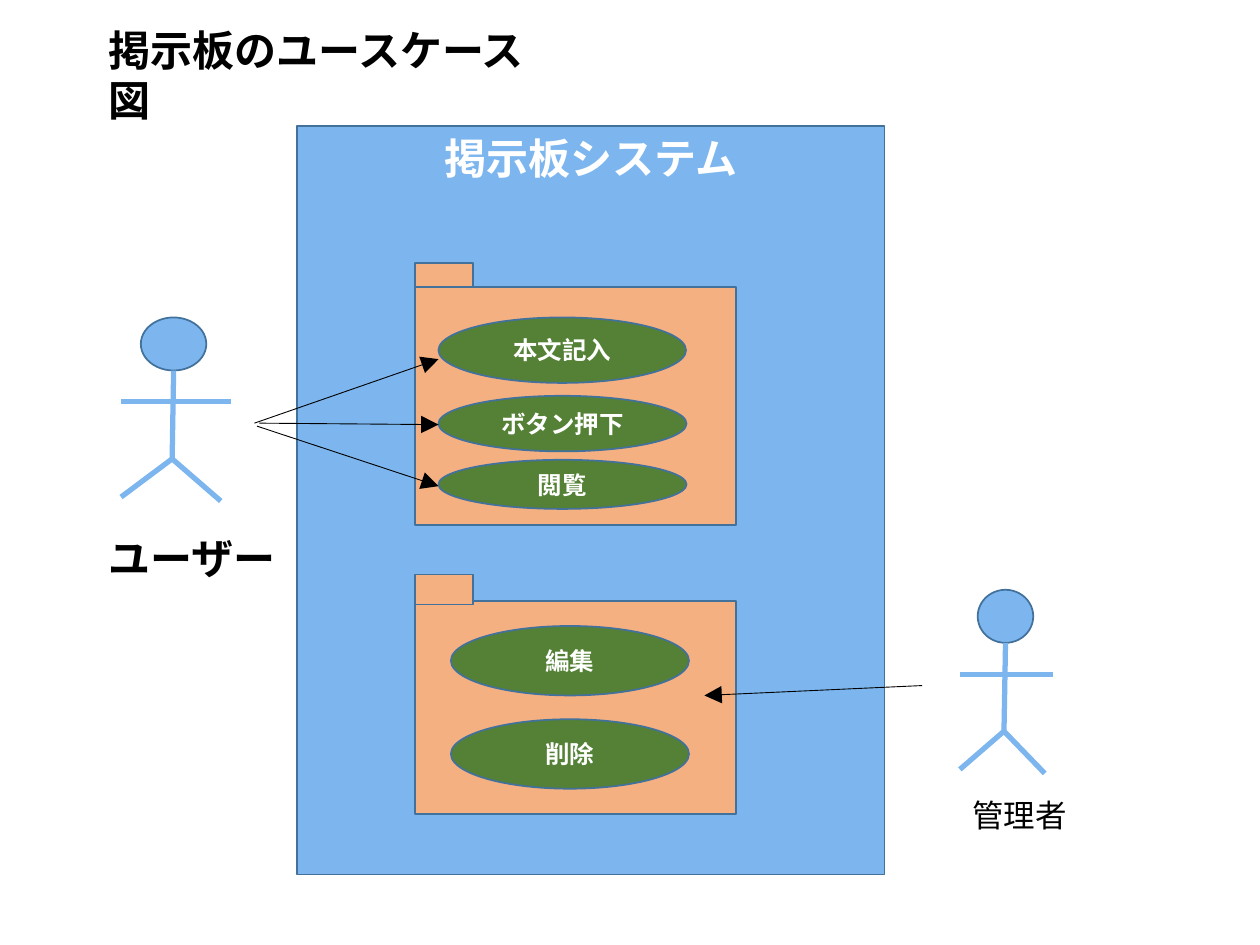
"""Build the use case diagram of a bulletin board."""
from lxml import etree
from pptx import Presentation
from pptx import util as u
from pptx.dml.color import RGBColor
from pptx.enum import shapes, text
from pptx.oxml.ns import qn

BLUE = RGBColor(0x7D, 0xB6, 0xEF)
EDGE = RGBColor(0x42, 0x71, 0x9B)
PEACH = RGBColor(0xF4, 0xB0, 0x81)
GREEN = RGBColor(0x54, 0x81, 0x35)
WHITE = RGBColor(0xFF, 0xFF, 0xFF)
BLACK = RGBColor(0, 0, 0)
RECT = shapes.MSO_SHAPE.RECTANGLE
OVAL = shapes.MSO_SHAPE.OVAL
SANS = "Noto Sans CJK JP"

FRAME = ("掲示板システム", (5.99, 2.54, 11.84, 15.09))
FOLDERS = [(5.79, 4.8, 5.31, 0.48), (12.12, 4.29, 11.58, 0.61)]
CASES = [
    ("本文記入", (8.84, 6.4, 4.99, 1.32)),
    ("ボタン押下", (8.84, 7.98, 5, 1.12)),
    ("閲覧", (8.84, 9.27, 5, 0.99)),
    ("編集", (9.09, 12.62, 4.8, 1.4)),
    ("削除", (9.09, 14.5, 4.8, 1.4)),
]
ACTORS = [
    dict(mid=3.5, top=6.4, wide=1.32, left=2.44, right=4.65, foot=4.45),
    dict(mid=20.27, top=11.89, wide=1.12, left=19.35, right=21.23, foot=21.06),
]
ARROWS = [
    (5.13, 8.53, 8.84, 7.24),
    (5.23, 8.53, 8.84, 8.56),
    (5.18, 8.59, 8.84, 9.8),
    (18.59, 13.82, 14.2, 14.02),
]
LABELS = [
    ("掲示板のユースケース図", (1.93, 0.36, 9.65, 2.29), 24, "Arial", True, True),
    ("ユーザー", (1.93, 10.62, 4.06, 1.27), 24, "Calibri", True, True),
    ("管理者", (19.35, 15.93, 2.41, 1.02), 18, "Arial", False, False),
]


def write(shape, words, size, color, face=SANS, bold=True):
    para = shape.text_frame.paragraphs[0]
    para.text = words
    font = para.font
    font.size, font.name, font.bold = u.Pt(size), face, bold
    font.color.rgb = color
    return para


def block(slide, kind, box, fill):
    shape = slide.shapes.add_shape(kind, *map(u.Cm, box))
    shape.shadow.inherit = False
    shape.fill.solid()
    shape.fill.fore_color.rgb = fill
    shape.line.color.rgb = EDGE
    shape.line.width = u.Pt(1)
    return shape


def stroke(home, ends, color, width, arrow=False):
    line = home.add_connector(shapes.MSO_CONNECTOR.STRAIGHT, *map(u.Cm, ends))
    line.line.color.rgb = color
    line.line.width = u.Pt(width)
    if arrow:
        tip = etree.SubElement(line.line._get_or_add_ln(), qn("a:tailEnd"))
        tip.set("type", "triangle")
        tip.set("w", "lg")
        tip.set("len", "lg")
    etree.SubElement(line._element.spPr, qn("a:effectLst"))


def actor(slide, mid, top, wide, left, right, foot):
    group = slide.shapes.add_group_shape()
    block(group, OVAL, (mid - wide / 2, top, wide, 1.07), BLUE)
    hip = (mid - 0.03, top + 2.85)
    limbs = [
        (left, top + 1.7, right, top + 1.7),
        (mid, top + 1.07, *hip),
        (*hip, left, top + 3.62),
        (*hip, foot, top + 3.7),
    ]
    for ends in limbs:
        stroke(group.shapes, ends, BLUE, 3)


def label(slide, words, box, size, face, bold, wrap):
    shape = slide.shapes.add_textbox(*map(u.Cm, box))
    shape.text_frame.word_wrap = wrap
    shape.text_frame.auto_size = text.MSO_AUTO_SIZE.SHAPE_TO_FIT_TEXT
    write(shape, words, size, BLACK, face, bold)


def main():
    deck = Presentation()
    deck.slide_width, deck.slide_height = u.Cm(25.4), u.Cm(19.05)
    slide = deck.slides.add_slide(deck.slide_layouts[6])

    words, box = FRAME
    frame = block(slide, RECT, box, BLUE)
    frame.text_frame.vertical_anchor = text.MSO_ANCHOR.TOP
    write(frame, words, 24, WHITE).alignment = text.PP_ALIGN.CENTER

    for top, tall, tab, lip in FOLDERS:
        block(slide, RECT, (8.36, top, 6.48, tall), PEACH)
        block(slide, RECT, (8.36, tab, 1.17, lip), PEACH)
    for who in ACTORS:
        actor(slide, **who)
    for words, box in CASES:
        case = block(slide, OVAL, box, GREEN)
        case.text_frame.vertical_anchor = text.MSO_ANCHOR.MIDDLE
        write(case, words, 14, WHITE).alignment = text.PP_ALIGN.CENTER
    for ends in ARROWS:
        stroke(slide.shapes, ends, BLACK, 0.5, arrow=True)
    for item in LABELS:
        label(slide, *item)
    deck.save("out.pptx")


if __name__ == "__main__":
    main()
